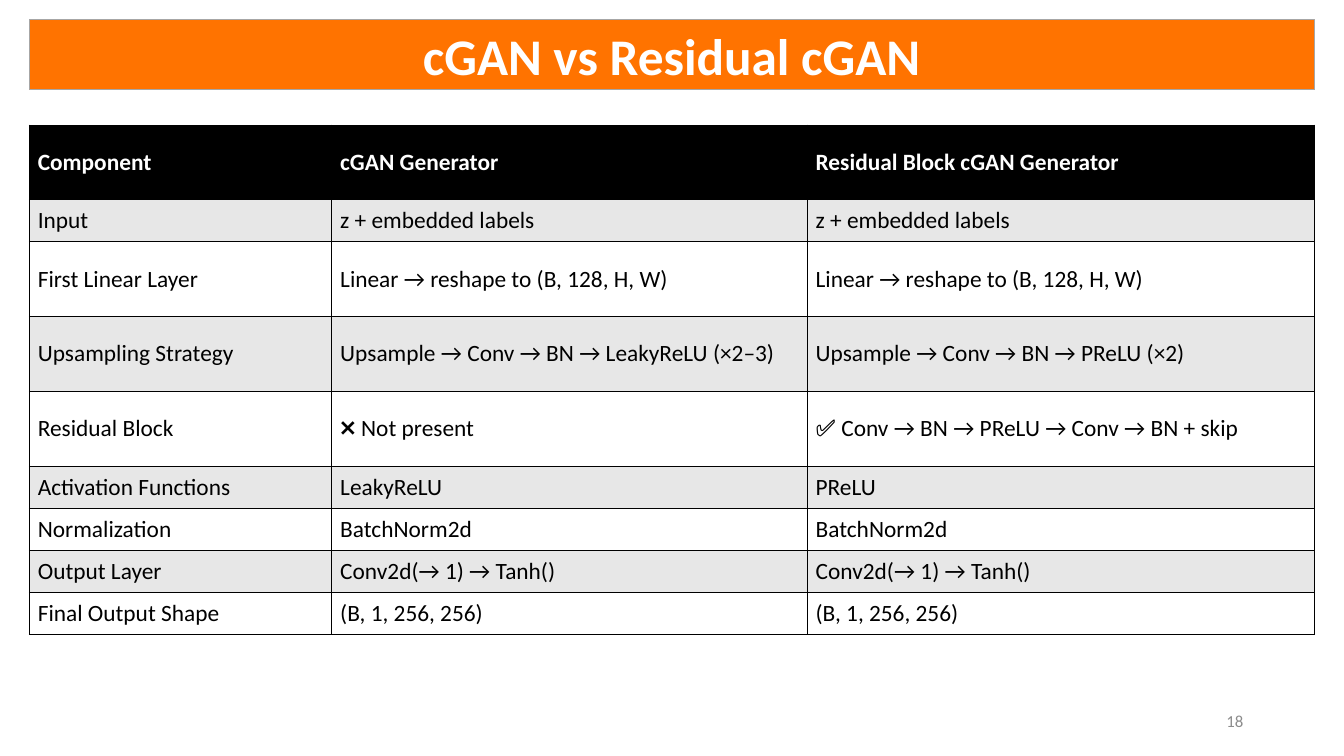
import pptx
import pptx.dml.color
import pptx.enum.shapes
import pptx.enum.text
import pptx.oxml
import pptx.oxml.ns
import pptx.util
from pptx.util import Inches

ALIGN = pptx.enum.text.PP_ALIGN
MIDDLE = pptx.enum.text.MSO_ANCHOR.MIDDLE

COLUMN_WIDTHS = [3.6, 5.66, 6.04]
TALL, SHORT = 0.89, 0.5
COMPARISON = [
    (TALL, "Component", "cGAN Generator", "Residual Block cGAN Generator"),
    (SHORT, "Input", "z + embedded labels", "z + embedded labels"),
    (TALL, "First Linear Layer", "Linear → reshape to (B, 128, H, W)", "Linear → reshape to (B, 128, H, W)"),
    (TALL, "Upsampling Strategy", "Upsample → Conv → BN → LeakyReLU (×2–3)", "Upsample → Conv → BN → PReLU (×2)"),
    (TALL, "Residual Block", "❌ Not present", "✅ Conv → BN → PReLU → Conv → BN + skip"),
    (SHORT, "Activation Functions", "LeakyReLU", "PReLU"),
    (SHORT, "Normalization", "BatchNorm2d", "BatchNorm2d"),
    (SHORT, "Output Layer", "Conv2d(→ 1) → Tanh()", "Conv2d(→ 1) → Tanh()"),
    (SHORT, "Final Output Shape", "(B, 1, 256, 256)", "(B, 1, 256, 256)"),
]


def color(value):
    return pptx.dml.color.RGBColor.from_string(value)


def paint(fill, value):
    fill.solid()
    fill.fore_color.rgb = color(value)


def write(frame, text, size, ink, bold=False, align=ALIGN.LEFT):
    paragraph = frame.paragraphs[0]
    paragraph.alignment = align
    run = paragraph.add_run()
    run.text = text
    formats = {"name": "Calibri", "size": pptx.util.Pt(size), "bold": bold}
    for attribute, value in formats.items():
        setattr(run.font, attribute, value)
    run.font.color.rgb = color(ink)


def add_title(slide, text):
    banner = slide.shapes.add_shape(
        pptx.enum.shapes.MSO_SHAPE.RECTANGLE,
        Inches(0.35), Inches(0.23), Inches(15.3), Inches(0.84),
    )
    banner.shadow.inherit = False
    paint(banner.fill, "FF7300")
    banner.line.color.rgb = color("A6A6A6")
    banner.line.width = pptx.util.Pt(0)
    banner.text_frame.vertical_anchor = MIDDLE
    write(banner.text_frame, text, 44, "FFFFFF", True, ALIGN.CENTER)


def add_borders(cell):
    properties = cell._tc.get_or_add_tcPr()
    for position, side in enumerate(("lnL", "lnR", "lnT", "lnB")):
        border = pptx.oxml.parse_xml(
            f'<a:{side} {pptx.oxml.ns.nsdecls("a")} w="{pptx.util.Pt(1)}">'
            '<a:solidFill><a:srgbClr val="000000"/></a:solidFill>'
            f'</a:{side}>'
        )
        properties.insert(position, border)


def add_comparison(slide):
    heights = [row[0] for row in COMPARISON]
    table = slide.shapes.add_table(
        len(heights), len(COLUMN_WIDTHS),
        Inches(0.35), Inches(1.49), Inches(sum(COLUMN_WIDTHS)), Inches(sum(heights)),
    ).table
    for column, width in zip(table.columns, COLUMN_WIDTHS):
        column.width = Inches(width)
    for index, (height, *texts) in enumerate(COMPARISON):
        table.rows[index].height = Inches(height)
        header = index == 0
        background = "000000" if header else "E7E7E7" if index % 2 else "FFFFFF"
        for cell, text in zip(table.rows[index].cells, texts):
            cell.vertical_anchor = MIDDLE
            paint(cell.fill, background)
            write(cell.text_frame, text, 20, "FFFFFF" if header else "000000", header)
            add_borders(cell)


def add_page_number(slide, number):
    box = slide.shapes.add_textbox(Inches(11.3), Inches(8.34), Inches(3.6), Inches(0.48))
    box.text_frame.word_wrap = True
    box.text_frame.vertical_anchor = MIDDLE
    write(box.text_frame, number, 14.4, "8C8C8C", align=ALIGN.RIGHT)


def main():
    deck = pptx.Presentation()
    deck.slide_width, deck.slide_height = Inches(16), Inches(9)
    slide = deck.slides.add_slide(deck.slide_layouts[6])
    add_title(slide, "cGAN vs Residual cGAN")
    add_comparison(slide)
    add_page_number(slide, "18")
    deck.save("out.pptx")


if __name__ == "__main__":
    main()
